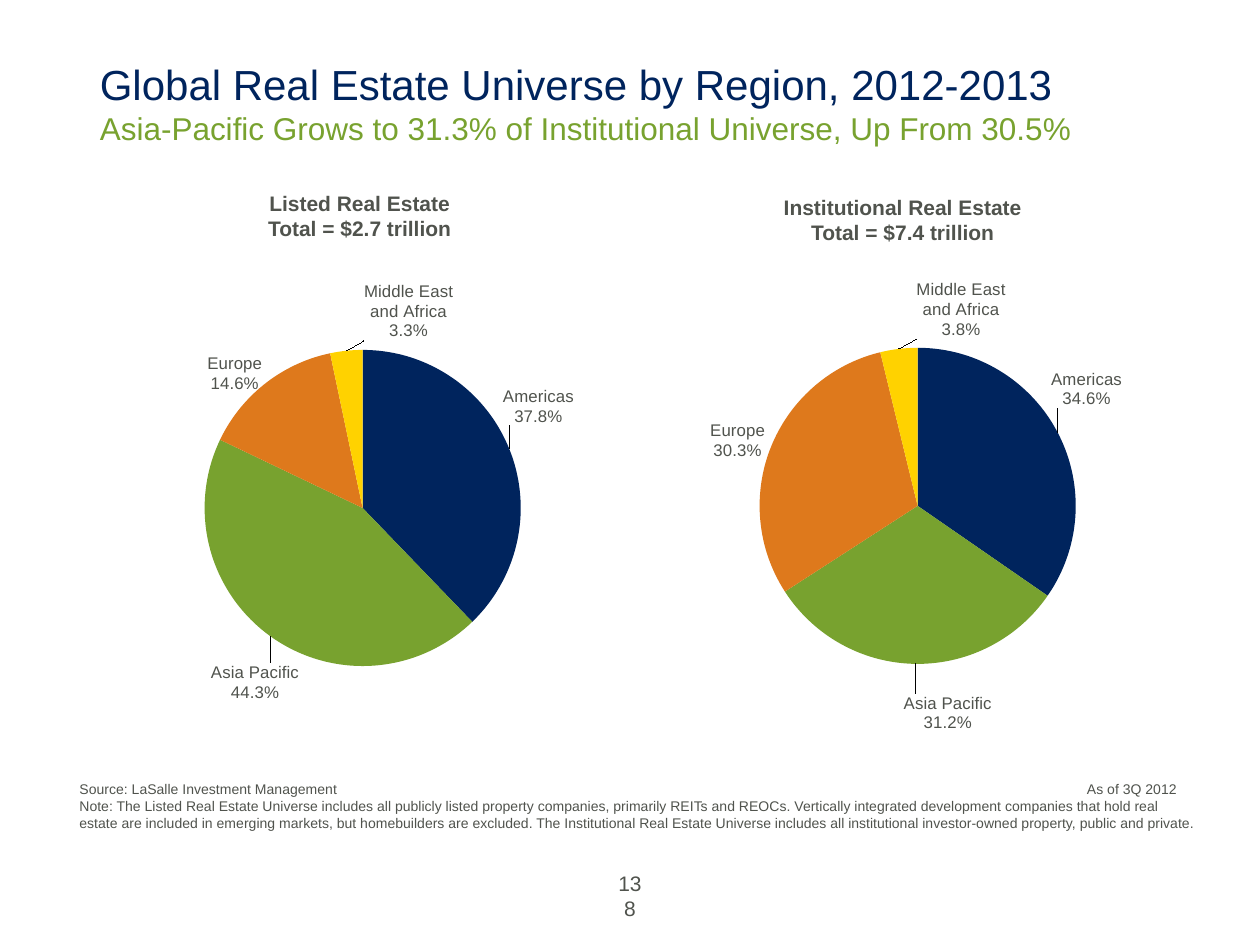
import pptx
import pptx.chart.data
import pptx.dml.color
import pptx.enum.chart
import pptx.enum.text
import pptx.oxml
import pptx.oxml.ns
import pptx.util

# Grid: 100 columns by 75 rows of square cells; boxes are (left, top, width, height)
CELL = pptx.util.Inches(0.1)
NAVY, GREEN, ORANGE, YELLOW, GREY = "00245D", "78A22F", "DE791C", "FFD200", "50534D"
REGIONS = ["Americas", "Asia Pacific", "Europe", "Middle East and Africa"]
REGION_COLOURS = [NAVY, GREEN, ORANGE, YELLOW]
PERCENT = "0.0%"
ALIGN = pptx.enum.text.PP_ALIGN
ANCHOR = pptx.enum.text.MSO_ANCHOR


def grid(*cells):
    return [round(cell * CELL) for cell in cells]


def colour(value):
    return pptx.dml.color.RGBColor.from_string(value)


def style(font, size, hex_colour, bold=False):
    font.name = "Arial"
    font.size = pptx.util.Pt(size)
    font.bold = bold
    font.color.rgb = colour(hex_colour)


def set_frame(frame, insets, anchor, wrap=True):
    frame.margin_left, frame.margin_top, frame.margin_right, frame.margin_bottom = grid(*insets)
    frame.vertical_anchor = anchor
    frame.word_wrap = wrap
    frame.auto_size = pptx.enum.text.MSO_AUTO_SIZE.NONE


def add_text(page, box, lines, size, align=ALIGN.LEFT, bold=False,
             insets=(0.4, 0.4, 0.4, 0.4), anchor=ANCHOR.BOTTOM, wrap=True):
    frame = page.shapes.add_textbox(*grid(*box)).text_frame
    set_frame(frame, insets, anchor, wrap)
    for index, line in enumerate(lines):
        para = frame.add_paragraph() if index else frame.paragraphs[0]
        para.text = line
        para.alignment = align
        style(para.font, size, GREY, bold)
    return frame


def add_title(page, box, headline, subline):
    title = page.shapes.title
    title.left, title.top, title.width, title.height = grid(*box)
    set_frame(title.text_frame, (0, 0, 0, 0.5), ANCHOR.TOP)
    para = title.text_frame.paragraphs[0]
    para.alignment = ALIGN.LEFT
    span = para.add_run()
    span.text = headline
    style(span.font, 24, NAVY)
    para.add_line_break()
    span = para.add_run()
    span.text = subline
    style(span.font, 18, GREEN)


def manual_layout(inner):
    return pptx.oxml.parse_xml(
        f'<c:layout {pptx.oxml.ns.nsdecls("c")}><c:manualLayout>{inner}'
        '</c:manualLayout></c:layout>')


def place_plot(chart, left, top, width, height):
    area = chart._chartSpace.chart.plotArea
    for layout in area.findall(pptx.oxml.ns.qn("c:layout")):
        area.remove(layout)
    area.insert(0, manual_layout(
        '<c:layoutTarget val="inner"/><c:xMode val="edge"/><c:yMode val="edge"/>'
        f'<c:x val="{left}"/><c:y val="{top}"/><c:w val="{width}"/><c:h val="{height}"/>'))


def region_label(index, shift_x, shift_y):
    """Category and percent on two lines, moved by shares of the chart's size."""
    label = pptx.oxml.parse_xml(
        f'<c:dLbl {pptx.oxml.ns.nsdecls("c")}><c:idx val="{index}"/>'
        f'<c:numFmt formatCode="{PERCENT}" sourceLinked="0"/>'
        '<c:dLblPos val="bestFit"/><c:showLegendKey val="0"/><c:showVal val="0"/>'
        '<c:showCatName val="1"/><c:showSerName val="0"/><c:showPercent val="1"/>'
        '<c:showBubbleSize val="0"/><c:separator>\n</c:separator></c:dLbl>')
    label.insert(1, manual_layout(f'<c:x val="{shift_x:.4f}"/><c:y val="{shift_y:.4f}"/>'))
    return label


def add_region_pie(page, box, values, label_shifts):
    data = pptx.chart.data.CategoryChartData()
    data.categories = REGIONS
    data.add_series("Series 1", values)
    for name in ("Series 2", "Series 3"):
        data.add_series(name, [None] * len(REGIONS))
    chart = page.shapes.add_chart(
        pptx.enum.chart.XL_CHART_TYPE.PIE, *grid(*box), data).chart
    chart.replace_data(data)  # a new pie takes only the first series
    chart.has_legend = False
    chart.has_title = False
    style(chart.font, 11.5, GREY)
    place_plot(chart, 0.182, 0.184, 0.638, 0.609)
    chart.plots[0].vary_by_categories = True

    # Slices
    series = chart.plots[0].series[0]
    for index, hex_colour in enumerate(REGION_COLOURS):
        slice_format = series.points[index].format
        slice_format.fill.solid()
        slice_format.fill.fore_color.rgb = colour(hex_colour)
        slice_format.line.fill.background()

    # Labels with leader lines
    labels = series.data_labels
    labels.show_value = False
    labels.show_category_name = True
    labels.show_percentage = True
    labels.number_format = PERCENT
    labels.number_format_is_linked = False
    labels.position = pptx.enum.chart.XL_LABEL_POSITION.BEST_FIT
    style(labels.font, 9.6, GREY)
    for index, (across, down) in enumerate(label_shifts):
        labels._element.insert(index, region_label(index, across / box[2], down / box[3]))


def add_notes_line(page, box, source, date, note):
    frame = add_text(page, box, [f"{source}\t{date}", note], 8)
    properties = frame.paragraphs[0]._p.get_or_add_pPr()
    properties.insert(0, pptx.oxml.parse_xml(
        f'<a:tabLst {pptx.oxml.ns.nsdecls("a")}>'
        f'<a:tab pos="{grid(87.1)[0]}" algn="r"/></a:tabLst>'))


def main():
    deck = pptx.Presentation()
    deck.slide_width, deck.slide_height = grid(100, 75)
    page = deck.slides.add_slide(deck.slide_layouts[5])

    add_title(page, (7.92, 4.67, 84.6, 9.9),
              "Global Real Estate Universe by Region, 2012-2013",
              "Asia-Pacific Grows to 31.3% of Institutional Universe, Up From 30.5%")

    # Headings and pies: label shifts follow the order of REGIONS
    panels = [
        ((20.4, 14.63, 16.3, 5), ["Listed Real Estate", "Total = $2.7 trillion"],
         (9.05, 20.2, 39.4, 41.2), [37.8, 44.3, 14.6, 3.3],
         [(-1.05, -1.6), (2.65, 1.65), (0.15, 1.25), (8.55, -0.2)]),
        ((61.3, 14.95, 20.7, 5), ["Institutional Real Estate", "Total = $7.4 trillion"],
         (53.1, 20.03, 39.4, 41.2), [34.6, 31.2, 30.3, 3.8],
         [(-1.05, -1.6), (2.6, 1.75), (0.1, 1.25), (8.55, -0.2)]),
    ]
    for heading_box, heading, pie_box, values, label_shifts in panels:
        add_text(page, heading_box, heading, 12, ALIGN.CENTER, True,
                 (0.8, 0.5, 0.8, 0.5), ANCHOR.TOP, False)
        add_region_pie(page, pie_box, values, label_shifts)

    # Source, note and page number
    add_notes_line(
        page, (5.9, 61.55, 89.8, 4.8), "Source: LaSalle Investment Management", "As of 3Q 2012",
        "Note: The Listed Real Estate Universe includes all publicly listed property companies, "
        "primarily REITs and REOCs. Vertically integrated development companies that hold real "
        "estate are included in emerging markets, but homebuilders are excluded. The "
        "Institutional Real Estate Universe includes all institutional investor-owned property, "
        "public and private.")
    add_text(page, (48.6, 68.9, 2.8, 4.6), ["138"], 12, ALIGN.CENTER)

    deck.save("out.pptx")


if __name__ == "__main__":
    main()
